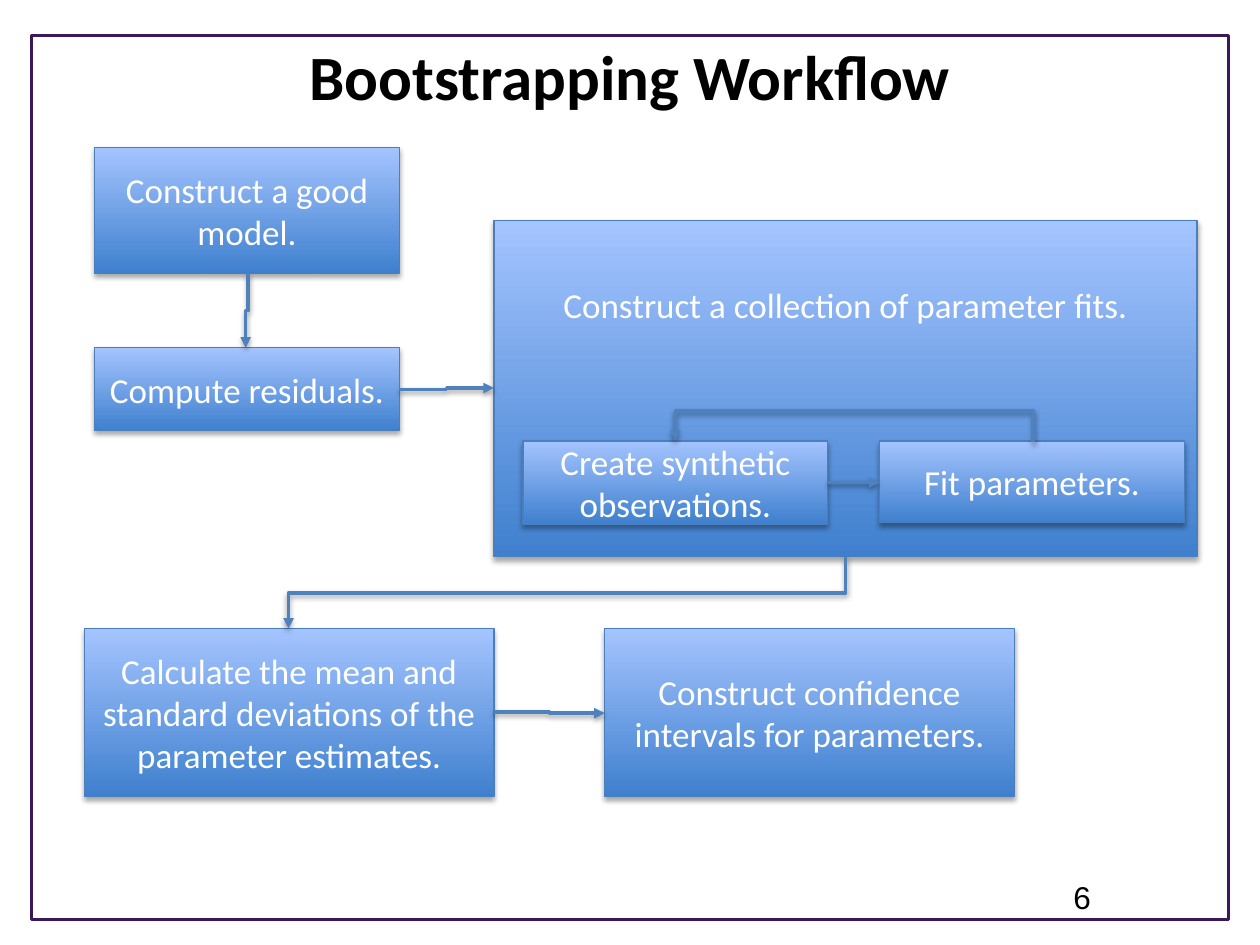
"""Build the bootstrapping workflow slide."""
from dataclasses import dataclass

import pptx
import pptx.dml.color
import pptx.enum.shapes
import pptx.enum.text
import pptx.oxml
import pptx.oxml.ns
import pptx.util
from pptx.util import Inches

ALIGN = pptx.enum.text.PP_ALIGN
ANCHOR = pptx.enum.text.MSO_ANCHOR
RECT = pptx.enum.shapes.MSO_SHAPE.RECTANGLE
ELBOW = pptx.enum.shapes.MSO_CONNECTOR.ELBOW
NS = pptx.oxml.ns.nsdecls("a")


@dataclass
class Box:
    text: str
    left: float
    top: float
    width: float
    height: float
    bottom_inset: float = 0.05


@dataclass
class Arrow:
    x1: float
    y1: float
    x2: float
    y2: float
    rotation: int = 0
    bend: int = 50


BOXES = [
    Box("Construct a good model.", 0.75, 1.17, 2.42, 1),
    Box("Compute residuals.", 0.75, 2.76, 2.42, 0.66),
    Box("Construct a collection of parameter fits.", 3.92, 1.75, 5.58, 2.67, 1.38),
    Box("Fit parameters.", 6.98, 3.5, 2.42, 0.65),
    Box("Calculate the mean and standard deviations of the parameter estimates.",
        0.67, 4.99, 3.25, 1.33),
    Box("Construct confidence intervals for parameters.", 4.8, 4.99, 3.25, 1.33),
    Box("Create synthetic observations.", 4.15, 3.5, 2.42, 0.66),
]
ARROWS = [
    Arrow(1.97, 2.17, 1.95, 2.76, rotation=90),
    Arrow(3.17, 3.09, 3.92, 3.08),
    Arrow(6.71, 4.42, 2.29, 4.99, rotation=90),
    Arrow(6.57, 3.83, 6.98, 3.83),
    Arrow(8.2, 3.51, 5.36, 3.5, rotation=270, bend=2500),
    Arrow(3.92, 5.65, 4.8, 5.66),
]


def rgb(value: str) -> pptx.dml.color.RGBColor:
    return pptx.dml.color.RGBColor.from_string(value)


def set_line(sp, color: str, width: float) -> None:
    sp.line.color.rgb = rgb(color)
    sp.line.width = pptx.util.Pt(width)


def add_text(tf, text: str, size: int, color: str, font: str = "Calibri",
             bold: bool = False, align=ALIGN.CENTER) -> None:
    p = tf.paragraphs[0]
    p.alignment = align
    r = p.add_run()
    r.text = text
    r.font.name = font
    r.font.size = pptx.util.Pt(size)
    r.font.bold = bold
    r.font.color.rgb = rgb(color)


def add_shadow(sp, distance: float, opacity: int) -> None:
    sp.element.spPr.append(pptx.oxml.parse_xml(
        f'<a:effectLst {NS}><a:outerShdw blurRad="{pptx.util.Pt(3.1)}" '
        f'dist="{pptx.util.Pt(distance)}" dir="5400000" rotWithShape="0">'
        f'<a:srgbClr val="000000"><a:alpha val="{opacity * 1000}"/></a:srgbClr>'
        '</a:outerShdw></a:effectLst>'))


def add_box(s, box: Box) -> None:
    sp = s.shapes.add_shape(RECT, Inches(box.left), Inches(box.top),
                            Inches(box.width), Inches(box.height))
    sp.fill.gradient()
    sp.fill.gradient_angle = 90
    for stop, color in zip(sp.fill.gradient_stops, ("3F80CE", "A4C4FF")):
        stop.color.rgb = rgb(color)
    set_line(sp, "4B7EBC", 0.75)
    add_shadow(sp, 1.8, 35)
    tf = sp.text_frame
    tf.word_wrap = True
    tf.vertical_anchor = ANCHOR.MIDDLE
    tf.margin_bottom = Inches(box.bottom_inset)
    add_text(tf, box.text, 20, "FFFFFF")


def add_arrow(s, arrow: Arrow) -> None:
    cx, cy = (arrow.x1 + arrow.x2) / 2, (arrow.y1 + arrow.y2) / 2
    dx, dy = arrow.x2 - cx, arrow.y2 - cy
    if arrow.rotation == 90:
        dx, dy = dy, -dx
    elif arrow.rotation == 270:
        dx, dy = -dy, dx
    sp = s.shapes.add_connector(ELBOW, Inches(cx - dx), Inches(cy - dy),
                                Inches(cx + dx), Inches(cy + dy))
    spPr = sp.element.spPr
    if arrow.rotation:
        spPr.find(pptx.oxml.ns.qn("a:xfrm")).set("rot", str(arrow.rotation * 60000))
    guides = spPr.find(pptx.oxml.ns.qn("a:prstGeom")).get_or_add_avLst()
    guides.append(pptx.oxml.parse_xml(
        f'<a:gd {NS} name="adj1" fmla="val {arrow.bend * 1000}"/>'))
    set_line(sp, "4F81BD", 2)
    spPr.find(pptx.oxml.ns.qn("a:ln")).append(
        pptx.oxml.parse_xml(f'<a:tailEnd {NS} type="triangle"/>'))
    add_shadow(sp, 1.6, 38)


def main() -> None:
    prs = pptx.Presentation()
    prs.slide_width, prs.slide_height = Inches(10), Inches(7.5)
    s = prs.slides.add_slide(prs.slide_layouts[5])

    title = s.shapes.title
    title.left, title.top = Inches(0.5), Inches(0.25)
    title.width, title.height = Inches(9), Inches(0.92)
    title.text_frame.auto_size = pptx.enum.text.MSO_AUTO_SIZE.NONE
    title.text_frame.vertical_anchor = ANCHOR.TOP
    add_text(title.text_frame, "Bootstrapping Workflow", 36, "000000", bold=True)

    frame = s.shapes.add_shape(RECT, Inches(0.25), Inches(0.28),
                               Inches(9.5), Inches(7.02))
    frame.shadow.inherit = False
    frame.fill.background()
    set_line(frame, "3B185A", 1.75)

    number = s.shapes.add_textbox(Inches(8.42), Inches(6.92), Inches(0.58), Inches(0.4))
    number.text_frame.word_wrap = True
    add_text(number.text_frame, "6", 18, "000000", font="Arial", align=ALIGN.LEFT)

    for box in BOXES:
        add_box(s, box)
    for arrow in ARROWS:
        add_arrow(s, arrow)
    prs.save("out.pptx")


if __name__ == "__main__":
    main()
